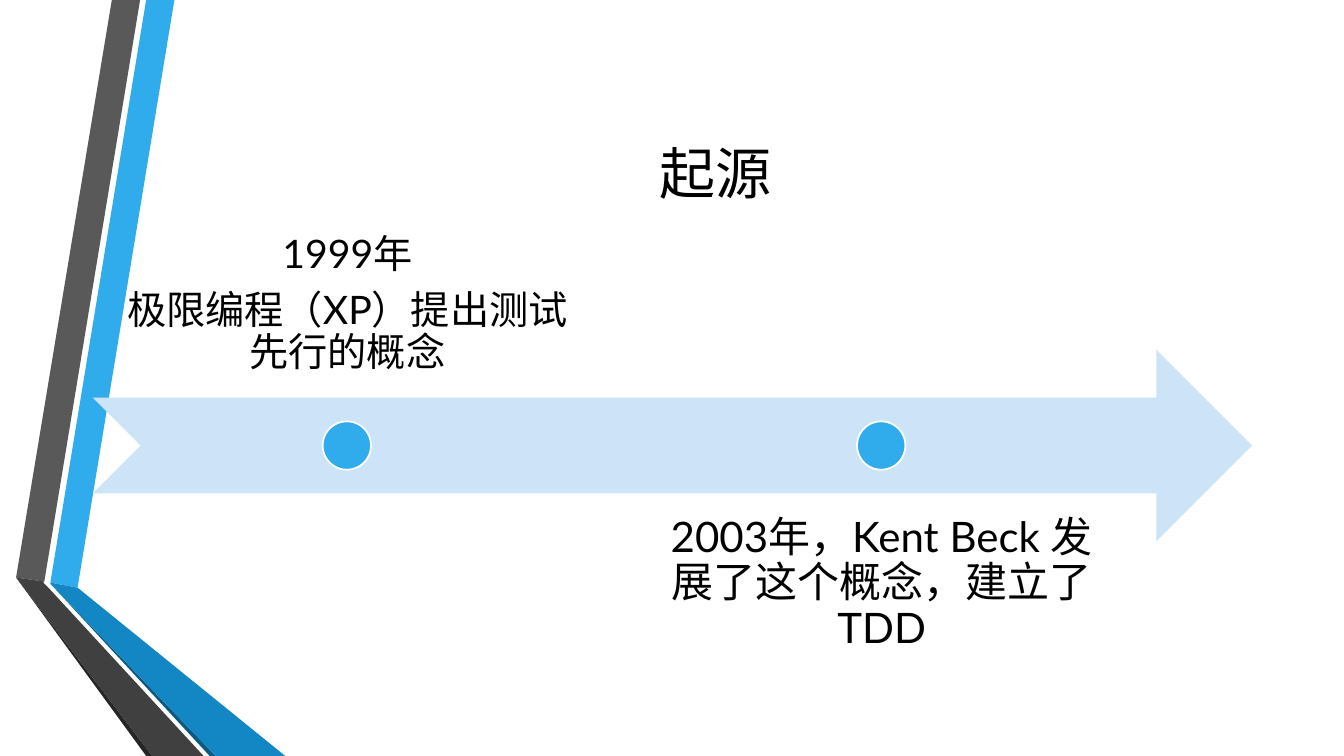
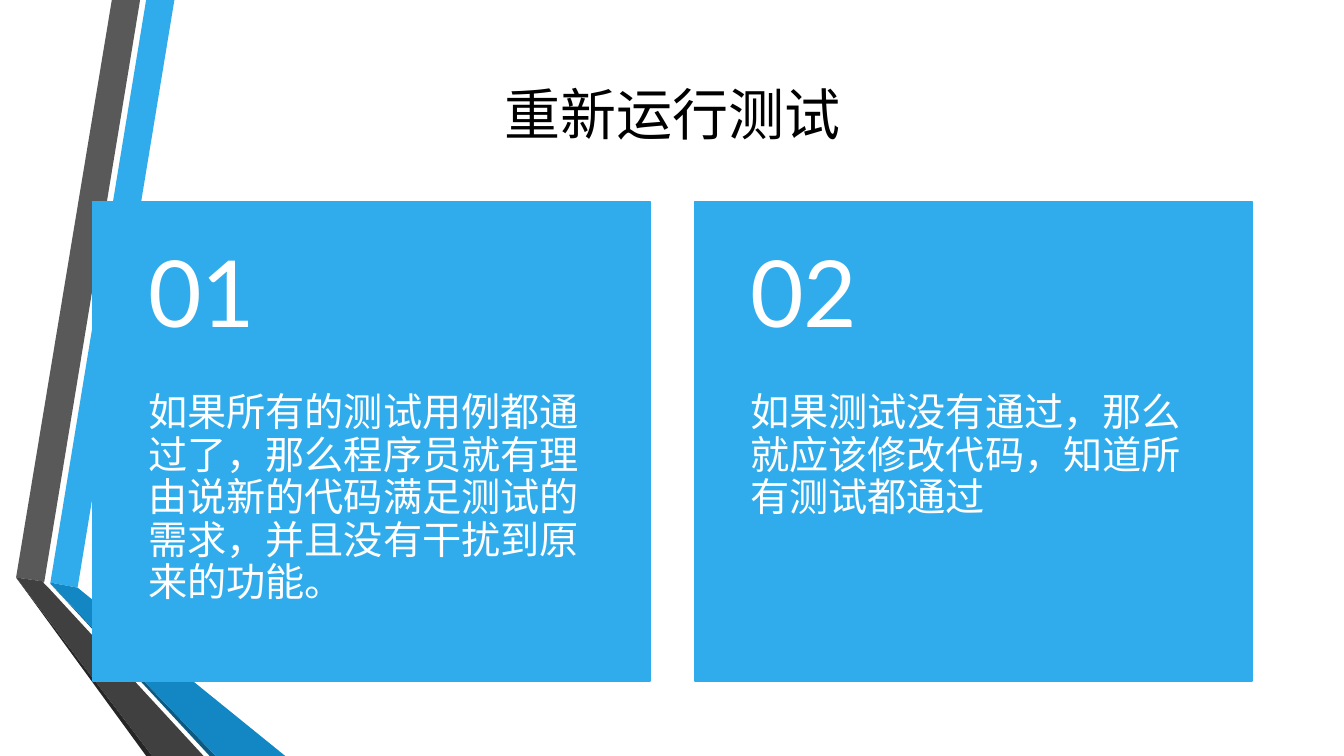
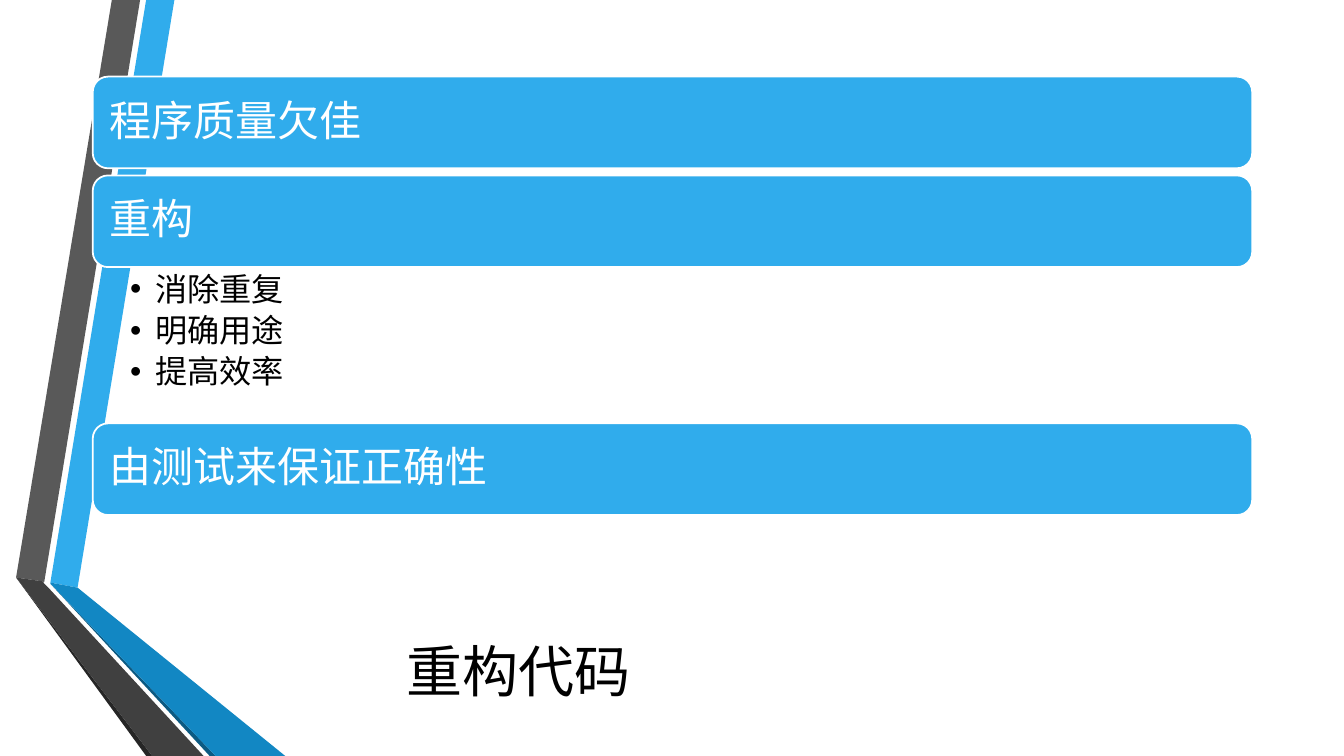
import dataclasses
from typing import Any, NamedTuple

import pptx
import pptx.dml.color
import pptx.enum.shapes
import pptx.enum.text
import pptx.oxml.ns
import pptx.oxml.xmlchemy
import pptx.shapes.autoshape
import pptx.slide
import pptx.text.text
import pptx.util

Inches = pptx.util.Inches
Kind = pptx.enum.shapes.MSO_SHAPE
Align = pptx.enum.text.PP_ALIGN
Anchor = pptx.enum.text.MSO_ANCHOR


# Theme
@dataclasses.dataclass(frozen=True)
class Theme:
    font: str = "Lato"
    blue: str = "30ACEC"
    pale: str = "CDE3F8"
    white: str = "FFFFFF"
    black: str = "000000"
    title: int = 40
    digit: int = 66
    large: int = 30
    text: int = 28
    small: int = 23
    line: float = 1.25


THEME = Theme()


class Box(NamedTuple):
    left: float
    top: float
    width: float
    height: float


class Band(NamedTuple):
    color: str
    dots: list[tuple[float, float]]


class Style(NamedTuple):
    size: int
    color: str = THEME.black
    align: Any = Align.LEFT
    anchor: Any = Anchor.TOP
    inset: tuple[float, float, float, float] = (0.1, 0.05, 0.1, 0.05)
    lead: float = 0.9
    after: float = 0.35


class Event(NamedTuple):
    box: Box
    dot: float
    lines: list[str]
    style: Style


class Card(NamedTuple):
    digit: str
    text: str


class Bar(NamedTuple):
    top: float
    text: str


BANDS = [
    Band(THEME.blue, [(0.5, 5.78), (0.77, 5.83), (1.73, 0), (1.45, 0)]),
    Band("595959", [(1.39, 0), (1.11, 0), (0.16, 5.73), (0.44, 5.77)]),
    Band("262626", [(0.16, 5.73), (1.45, 7.5), (1.51, 7.5)]),
    Band("0C5A82", [(0.5, 5.79), (2.08, 7.5), (2.14, 7.5)]),
    Band("1287C3", [(0.5, 5.79), (2.14, 7.5), (2.83, 7.5), (0.77, 5.83), (0.5, 5.78)]),
    Band("404040", [(2.02, 7.5), (0.48, 5.83), (0.43, 5.78), (0.44, 5.77),
                    (0.16, 5.73), (1.51, 7.5)]),
]


# Helpers
def rgb(color: str) -> pptx.dml.color.RGBColor:
    return pptx.dml.color.RGBColor.from_string(color)


def apply(item: Any, values: dict[str, Any]) -> None:
    for name, value in values.items():
        setattr(item, name, value)


def place(shape: Any, box: Box) -> None:
    apply(shape, {name: Inches(value) for name, value in box._asdict().items()})


def paint(shape: pptx.shapes.autoshape.Shape, fill: str, line: str | None = None) -> None:
    shape.shadow.inherit = False
    shape.fill.solid()
    shape.fill.fore_color.rgb = rgb(fill)
    if line is None:
        shape.line.fill.background()
    else:
        shape.line.color.rgb = rgb(line)
        shape.line.width = pptx.util.Pt(THEME.line)


def write(frame: pptx.text.text.TextFrame, lines: list[str], style: Style) -> None:
    left, top, right, bottom = map(Inches, style.inset)
    apply(frame, {
        "text": "\n".join(lines), "word_wrap": True,
        "auto_size": pptx.enum.text.MSO_AUTO_SIZE.NONE,
        "vertical_anchor": style.anchor,
        "margin_left": left, "margin_top": top,
        "margin_right": right, "margin_bottom": bottom,
    })
    for para in frame.paragraphs:
        apply(para, {
            "alignment": style.align, "line_spacing": style.lead,
            "space_before": pptx.util.Pt(0),
            "space_after": pptx.util.Pt(round(style.size * style.after, 1)),
        })
        for run in para.runs:
            apply(run.font, {"name": THEME.font, "size": pptx.util.Pt(style.size)})
            run.font.color.rgb = rgb(style.color)


def add_shape(slide: pptx.slide.Slide, kind: Any, box: Box, fill: str,
              line: str | None = None) -> pptx.shapes.autoshape.Shape:
    shape = slide.shapes.add_shape(kind, *map(Inches, box))
    paint(shape, fill, line)
    return shape


def add_text(slide: pptx.slide.Slide, box: Box, lines: list[str], style: Style) -> None:
    write(slide.shapes.add_textbox(*map(Inches, box)).text_frame, lines, style)


def add_slide(deck: Any, layout: str, title: str, box: Box) -> pptx.slide.Slide:
    slide = deck.slides.add_slide(deck.slide_layouts.get_by_name(layout))
    place(slide.shapes.title, box)
    write(slide.shapes.title.text_frame, [title],
          Style(THEME.title, align=Align.CENTER, anchor=Anchor.MIDDLE, lead=1, after=0))
    return slide


def add_bands(slide: pptx.slide.Slide, master: pptx.slide.SlideMaster) -> None:
    """Draw the bands, then move them behind all else on the master."""
    first = master.shapes[0].element
    for index, band in enumerate(BANDS):
        dots = [(Inches(x), Inches(y)) for x, y in band.dots]
        draft = slide.shapes.build_freeform(*dots[0], scale=1.0)
        draft.add_line_segments(dots[1:], close=True)
        shape = draft.convert_to_shape()
        paint(shape, band.color)
        shape.element.nvSpPr.cNvPr.set("id", str(20 + index))
        first.addprevious(shape.element)


def add_bullets(frame: pptx.text.text.TextFrame, indent: float) -> None:
    for para in frame.paragraphs:
        props = para._p.get_or_add_pPr()
        props.set("marL", str(Inches(indent)))
        props.set("indent", str(-Inches(indent)))
        bullet = props.makeelement(pptx.oxml.ns.qn("a:buChar"), {"char": "•"})
        props.append(bullet)


# Deck
deck = pptx.Presentation()
deck.slide_width, deck.slide_height = Inches(13.33), Inches(7.5)
LEFT, WIDE = 0.92, 11.5

# Slide 1: timeline
slide = add_slide(deck, "Title Only", "起源", Box(1.62, 0.75, 10.96, 1.92))
add_bands(slide, deck.slide_master)
add_shape(slide, Kind.NOTCHED_RIGHT_ARROW, Box(LEFT, 3.47, WIDE, 1.9), THEME.pale)
DOT = 0.48
events = [
    Event(Box(LEFT, 2.04, 5.05, 1.9), 3.2,
          ["1999年", "极限编程（XP）提出测试先行的概念"],
          Style(THEME.text, align=Align.CENTER, anchor=Anchor.BOTTOM, inset=(0.22,) * 4)),
    Event(Box(6.22, 4.89, 5.05, 1.9), 8.5,
          ["2003年，Kent Beck 发展了这个概念，建立了TDD"],
          Style(THEME.large, align=Align.CENTER, inset=(0.23,) * 4)),
]
for event in events:
    add_text(slide, event.box, event.lines, event.style)
    add_shape(slide, Kind.OVAL, Box(event.dot, 4.18, DOT, DOT), THEME.blue, THEME.white)

# Slide 2: numbered cards
slide = add_slide(deck, "Title Only", "重新运行测试", Box(LEFT, 0.4, WIDE, 1.45))
cards = [
    Card("01", "如果所有的测试用例都通过了，那么程序员就有理由说新的代码满足测试的需求，"
               "并且没有干扰到原来的功能。"),
    Card("02", "如果测试没有通过，那么就应该修改代码，知道所有测试都通过"),
]
TOP, WIDTH, HEAD, BODY, GAP = 2, 5.53, 1.9, 2.86, 0.44
for index, card in enumerate(cards):
    left = LEFT + index * (WIDTH + GAP)
    add_shape(slide, Kind.RECTANGLE, Box(left, TOP, WIDTH, HEAD + BODY),
              THEME.blue, THEME.blue)
    add_text(slide, Box(left, TOP + HEAD, WIDTH, BODY), [card.text],
             Style(THEME.text, THEME.white, inset=(0.55, 0, 0.55, 0.36)))
    add_text(slide, Box(left, TOP, WIDTH, HEAD), [card.digit],
             Style(THEME.digit, THEME.white, anchor=Anchor.MIDDLE,
                   inset=(0.55, 0.18, 0.55, 0.18)))

# Slide 3: bars with a list
slide = add_slide(deck, "Title and Content", "重构代码", Box(LEFT, 6.05, 8.44, 1.2))
goals = slide.placeholders[1]
place(goals, Box(LEFT, 2.67, WIDE, 1.53))
write(goals.text_frame, ["消除重复", "明确用途", "提高效率"],
      Style(THEME.small, inset=(0.37, 0.04, 0.23, 0.04), after=0.2))
add_bullets(goals.text_frame, 0.25)
bars = [Bar(0.76, "程序质量欠佳"), Bar(1.74, "重构"), Bar(4.2, "由测试来保证正确性")]
for bar in bars:
    shape = add_shape(slide, Kind.ROUNDED_RECTANGLE, Box(LEFT, bar.top, WIDE, 0.91),
                      THEME.blue, THEME.white)
    write(shape.text_frame, [bar.text],
          Style(THEME.large, THEME.white, anchor=Anchor.MIDDLE, inset=(0.12,) * 4))

deck.save("out.pptx")
